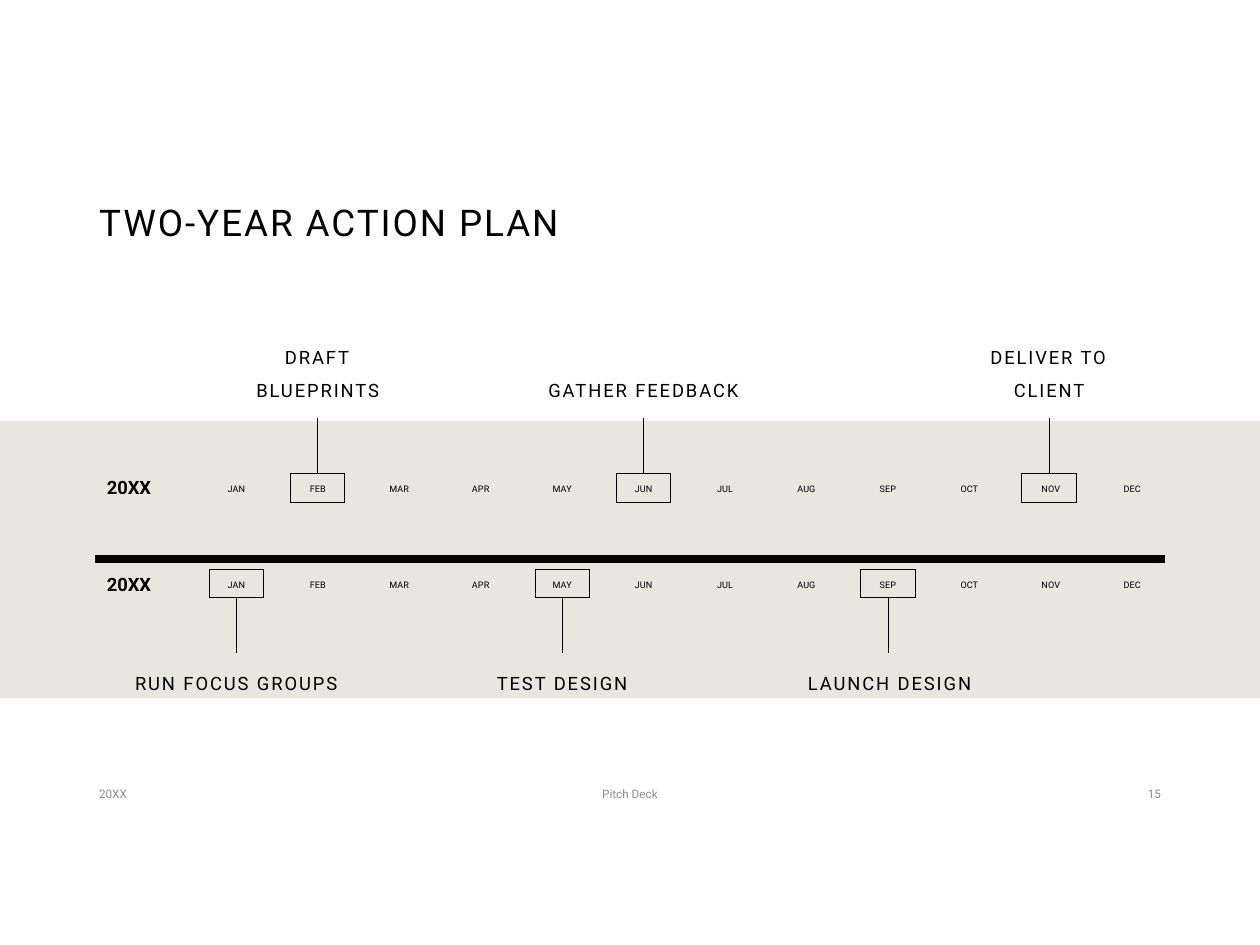
from lxml.etree import SubElement
from pptx import Presentation
from pptx.dml.color import RGBColor
from pptx.enum.shapes import MSO_CONNECTOR, MSO_SHAPE
from pptx.enum.text import MSO_ANCHOR, PP_ALIGN
from pptx.oxml.ns import qn
from pptx.util import Pt

BLACK = RGBColor(0x00, 0x00, 0x00)
GRAY = RGBColor(0x8C, 0x8C, 0x8C)
SAND = RGBColor(0xE9, 0xE6, 0xDF)
FONT_NAME = "Roboto"

TITLE = "TWO-YEAR ACTION PLAN"
MONTHS = ["JAN", "FEB", "MAR", "APR", "MAY", "JUN",
          "JUL", "AUG", "SEP", "OCT", "NOV", "DEC"]
YEARS = [
    {
        "label": "20XX", "label_top": 265.5, "months_top": 274.4, "box_top": 270.6,
        "line_start": 239, "box_side": 0, "callout_top": 198.7, "anchor": MSO_ANCHOR.BOTTOM,
        "callouts": [("FEB", "DRAFT BLUEPRINTS", 118, 0, 0),
                     ("JUN", "GATHER FEEDBACK", 122, 0, 0),
                     ("NOV", "DELIVER TO CLIENT", 118, -1, 0)],
    },
    {
        "label": "20XX", "label_top": 321.1, "months_top": 329, "box_top": 325.2,
        "line_start": 373, "box_side": 2, "callout_top": 375.1, "anchor": MSO_ANCHOR.TOP,
        "callouts": [("JAN", "RUN FOCUS GROUPS", 148.3, 0, 0),
                     ("MAY", "TEST DESIGN", 122, 0, 0),
                     ("SEP", "LAUNCH DESIGN", 122, 0, 1)],
    },
]
FOOTERS = [
    ("20XX", 49.5, 162, PP_ALIGN.LEFT),
    ("Pitch Deck", 238.5, 243, PP_ALIGN.CENTER),
    ("15", 508.5, 162, PP_ALIGN.RIGHT),
]

FIRST_MONTH_CENTER, MONTH_PITCH, MONTH_WIDTH = 135.1, 46.54, 38.2
BOX_WIDTH, BOX_HEIGHT = 31, 16.5
TRACKING = 1.13

TITLE_FORMAT = {"size": Pt(21), "bold": False}
CALLOUT_FORMAT = {"size": Pt(10.5)}
YEAR_FORMAT = {"size": Pt(10.5), "bold": True}
MONTH_FORMAT = {"size": Pt(5.25)}
FOOTER_FORMAT = {"size": Pt(6.75)}


def write_text(shape, text, font_format, align=PP_ALIGN.LEFT, anchor=MSO_ANCHOR.MIDDLE,
               line_spacing=1.0, color=BLACK, tracking=0, insets=(7.2, 3.6)):
    frame = shape.text_frame
    horizontal, vertical = map(Pt, insets)
    frame_format = {"word_wrap": True, "vertical_anchor": anchor,
                    "margin_left": horizontal, "margin_right": horizontal,
                    "margin_top": vertical, "margin_bottom": vertical}
    for name, value in frame_format.items():
        setattr(frame, name, value)
    paragraph = frame.paragraphs[0]
    paragraph.alignment = align
    paragraph.line_spacing = line_spacing
    run = paragraph.add_run()
    run.text = text
    for name, value in {"name": FONT_NAME, **font_format}.items():
        setattr(run.font, name, value)
    run.font.color.rgb = color
    if tracking:
        run._r.get_or_add_rPr().set("spc", str(round(tracking * 100)))


def add_text(slide, left, top, width, height, *content, **options):
    shape = slide.shapes.add_textbox(Pt(left), Pt(top), Pt(width), Pt(height))
    write_text(shape, *content, **options)


def add_rectangle(slide, left, top, width, height, fill=None, line_width=None):
    shape = slide.shapes.add_shape(MSO_SHAPE.RECTANGLE, Pt(left), Pt(top), Pt(width), Pt(height))
    shape.shadow.inherit = False
    if fill is None:
        shape.fill.background()
    else:
        shape.fill.solid()
        shape.fill.fore_color.rgb = fill
    if line_width is None:
        shape.line.fill.background()
    else:
        shape.line.color.rgb = BLACK
        shape.line.width = Pt(line_width)
        SubElement(shape._element.spPr.find(qn("a:ln")), qn("a:miter"), lim="800000")
    return shape


def add_callout(slide, year, month, text, width, box_shift, text_shift):
    center = FIRST_MONTH_CENTER + MONTHS.index(month) * MONTH_PITCH + box_shift
    box = add_rectangle(slide, center - BOX_WIDTH / 2, year["box_top"],
                        BOX_WIDTH, BOX_HEIGHT, line_width=0.5)
    start = Pt(center), Pt(year["line_start"])
    connector = slide.shapes.add_connector(MSO_CONNECTOR.STRAIGHT, *start, *start)
    connector.end_connect(box, year["box_side"])
    connector.line.color.rgb = BLACK
    connector.line.width = Pt(0.5)
    SubElement(connector._element.spPr, qn("a:effectLst"))
    add_text(slide, center + text_shift - width / 2, year["callout_top"], width, 33.1,
             text, CALLOUT_FORMAT, align=PP_ALIGN.CENTER, anchor=year["anchor"],
             line_spacing=1.5, tracking=TRACKING, insets=(5.25, 2.7))


def add_year(slide, year):
    add_text(slide, 54, year["label_top"], 43.2, 27.4, year["label"], YEAR_FORMAT,
             line_spacing=0.9)
    for index, month in enumerate(MONTHS):
        left = FIRST_MONTH_CENTER + index * MONTH_PITCH - MONTH_WIDTH / 2
        add_text(slide, left, year["months_top"], MONTH_WIDTH, 12.2, month, MONTH_FORMAT,
                 align=PP_ALIGN.CENTER, anchor=MSO_ANCHOR.TOP, line_spacing=0.7)
    for callout in year["callouts"]:
        add_callout(slide, year, *callout)


def main():
    presentation = Presentation()
    presentation.slide_width, presentation.slide_height = Pt(720), Pt(540)
    slide = presentation.slides.add_slide(presentation.slide_layouts[5])

    title = slide.shapes.title
    title_place = {"left": 49.5, "top": 89.3, "width": 621, "height": 78.5}
    for name, value in title_place.items():
        setattr(title, name, Pt(value))
    write_text(title, TITLE, TITLE_FORMAT, line_spacing=0.9, tracking=TRACKING)

    add_rectangle(slide, 0, 240.6, 720, 158.4, fill=SAND)
    add_rectangle(slide, 54.8, 317.6, 610.3, 3.6, fill=BLACK, line_width=1)
    for year in YEARS:
        add_year(slide, year)
    for text, left, width, align in FOOTERS:
        add_text(slide, left, 442.8, width, 21.6, text, FOOTER_FORMAT, align=align, color=GRAY)

    presentation.save("out.pptx")


if __name__ == "__main__":
    main()
